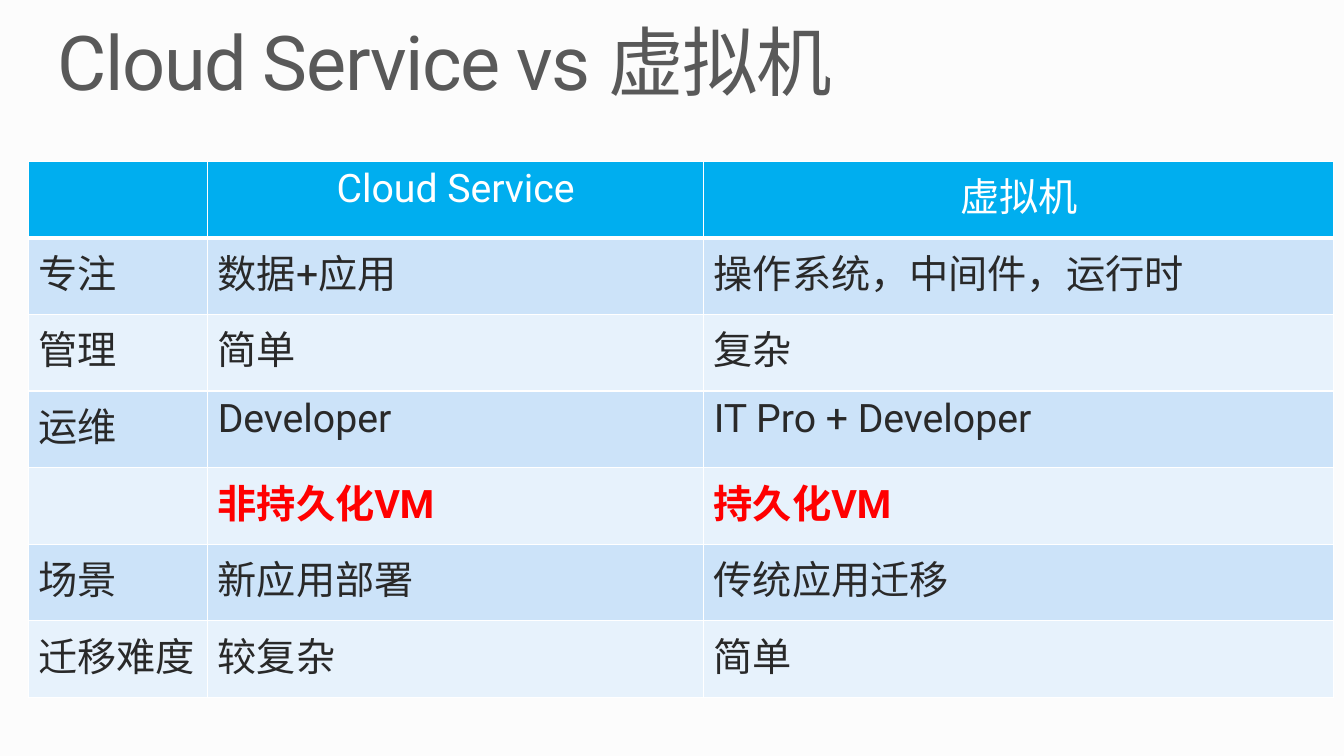
from dataclasses import dataclass

from lxml import etree
from pptx import Presentation
from pptx.dml.color import RGBColor
from pptx.enum.text import MSO_ANCHOR, MSO_AUTO_SIZE, PP_ALIGN
from pptx.oxml.ns import qn
from pptx.util import Inches, Pt

LEFT, CENTER = PP_ALIGN.LEFT, PP_ALIGN.CENTER
TOP = MSO_ANCHOR.TOP
GROW = MSO_AUTO_SIZE.SHAPE_TO_FIT_TEXT
TITLE_ONLY = 5
FONT = "Roboto"
WHITE = "FFFFFF"
BANDS = ("CCE3F9", "E7F2FC")
COLUMN_WIDTHS = (1.78, 4.92, 6.25)
ROW_HEIGHT = 0.76


@dataclass(frozen=True)
class RowStyle:
    color: str
    bold: bool = False
    align: PP_ALIGN = LEFT
    bottom_border: float = 1


@dataclass(frozen=True)
class ComparisonRow:
    topic: str
    cloud_service: str
    virtual_machine: str
    style: RowStyle


HEADER = RowStyle(WHITE, align=CENTER, bottom_border=3)
BODY = RowStyle("292929")
WARNING = RowStyle("FF0000", bold=True)

ROWS = (
    ComparisonRow("", "Cloud Service", "虚拟机", HEADER),
    ComparisonRow("专注", "数据+应用", "操作系统，中间件，运行时", BODY),
    ComparisonRow("管理", "简单", "复杂", BODY),
    ComparisonRow("运维", "Developer", "IT Pro + Developer", BODY),
    ComparisonRow("", "非持久化VM", "持久化VM", WARNING),
    ComparisonRow("场景", "新应用部署", "传统应用迁移", BODY),
    ComparisonRow("迁移难度", "较复杂", "简单", BODY),
)


def rgb(value: str) -> RGBColor:
    return RGBColor.from_string(value)


def add_run(paragraph, text: str, size: float, color: str, bold: bool = False):
    run = paragraph.add_run()
    run.text = text
    run.font.name = FONT
    run.font.size = Pt(size)
    run.font.bold = bold
    run.font.color.rgb = rgb(color)
    return run


def add_borders(cell, bottom: float) -> None:
    properties = cell._tc.get_or_add_tcPr()
    for side, width in (("L", 1), ("R", 1), ("T", 1), ("B", bottom)):
        line = etree.SubElement(properties, qn(f"a:ln{side}"), w=str(Pt(width)))
        fill = etree.SubElement(line, qn("a:solidFill"))
        etree.SubElement(fill, qn("a:srgbClr"), val=WHITE)


def fill_cell(cell, text: str, background: str, style: RowStyle) -> None:
    add_borders(cell, style.bottom_border)
    cell.fill.solid()
    cell.fill.fore_color.rgb = rgb(background)
    if text:
        paragraph = cell.text_frame.paragraphs[0]
        paragraph.alignment = style.align
        add_run(paragraph, text, 28, style.color, style.bold)


def add_title(slide) -> None:
    title = slide.shapes.title
    title.left, title.top = Inches(0.57), Inches(0.25)
    title.width, title.height = Inches(12.19), Inches(0.82)
    frame = title.text_frame
    frame.margin_left = frame.margin_right = 0
    frame.margin_top = frame.margin_bottom = 0
    frame.word_wrap = True
    frame.auto_size = GROW
    frame.vertical_anchor = TOP
    paragraph = frame.paragraphs[0]
    paragraph.alignment = LEFT
    paragraph.line_spacing = 0.9
    run = add_run(paragraph, "Cloud Service vs 虚拟机", 54, "595959")
    run.font._element.set("spc", "-100")


def add_comparison(slide) -> None:
    table = slide.shapes.add_table(
        len(ROWS), len(COLUMN_WIDTHS), Inches(0.28), Inches(1.6),
        Inches(sum(COLUMN_WIDTHS)), Inches(ROW_HEIGHT * len(ROWS))).table
    for column, width in zip(table.columns, COLUMN_WIDTHS):
        column.width = Inches(width)
    for index, content in enumerate(ROWS):
        table.rows[index].height = Inches(ROW_HEIGHT)
        background = BANDS[(index - 1) % 2] if index else "00AEEF"
        texts = (content.topic, content.cloud_service, content.virtual_machine)
        for cell, text in zip(table.rows[index].cells, texts):
            fill_cell(cell, text, background, content.style)


# Slide and background
presentation = Presentation()
presentation.slide_width = Inches(13.33)
presentation.slide_height = Inches(7.5)
slide = presentation.slides.add_slide(presentation.slide_layouts[TITLE_ONLY])
slide.background.fill.solid()
slide.background.fill.fore_color.rgb = rgb("FCFCFC")

# Title and comparison table
add_title(slide)
add_comparison(slide)

presentation.save("out.pptx")
